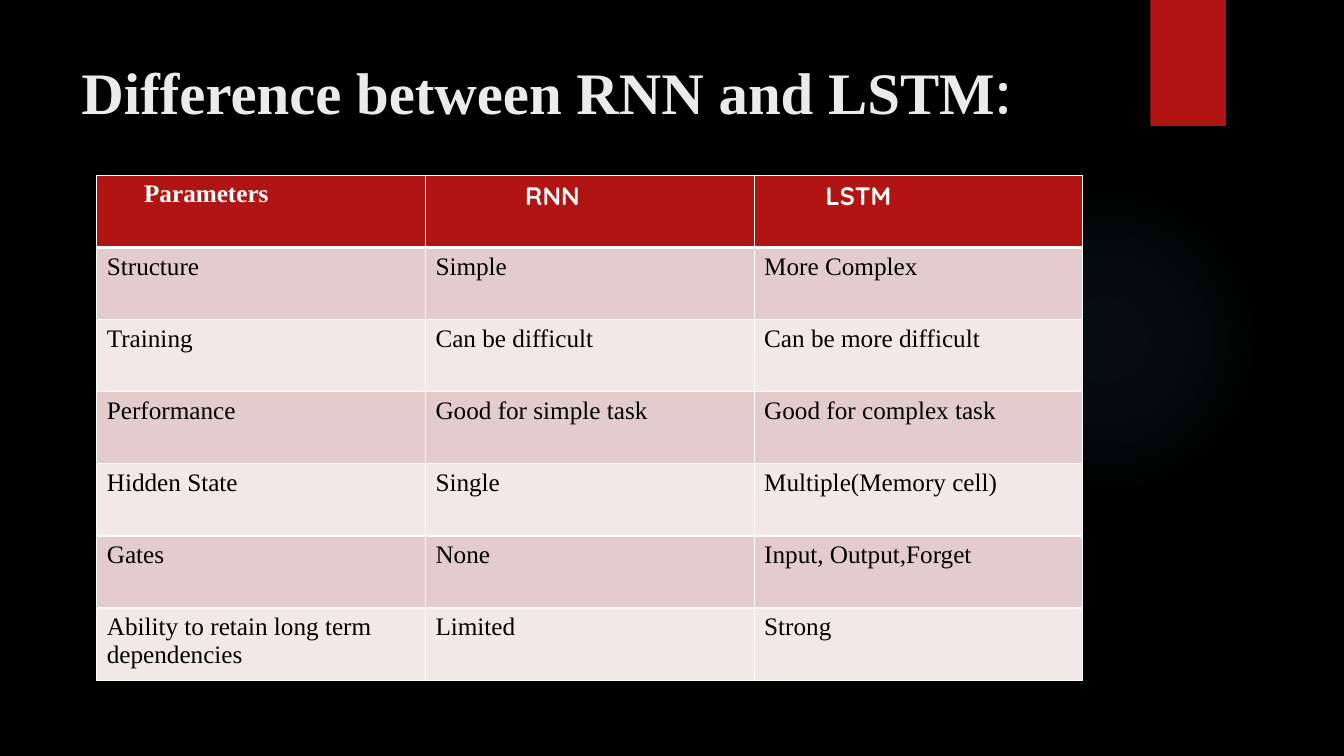
import pptx
import pptx.dml.color
import pptx.enum.shapes
import pptx.enum.text
import pptx.oxml
import pptx.oxml.ns
import pptx.util

Inches = pptx.util.Inches
COLORS = {
    "background": "000000", "accent": "B01513", "glow": "50B9C1",
    "title": "EBEBEB", "white": "FFFFFF", "body": "000000",
    "odd row": "E4CCCC", "even row": "F2E8E7",
}
SERIF, ROUNDED = "Times New Roman", "Quicksand"


def paint(fill, color):
    fill.solid()
    fill.fore_color.rgb = pptx.dml.color.RGBColor.from_string(COLORS[color])


def add_run(paragraph, text, font_name, size, color, bold):
    run = paragraph.add_run()
    run.text = text
    run.font.name = font_name
    run.font.size = pptx.util.Pt(size)
    run.font.bold = bold
    paint(run.font.fill, color)


presentation = pptx.Presentation()
presentation.slide_width = Inches(13.33)
presentation.slide_height = Inches(7.5)
slide = presentation.slides.add_slide(presentation.slide_layouts[6])
paint(slide.background.fill, "background")

# Faint glow behind the table
glow = slide.shapes.add_shape(
    pptx.enum.shapes.MSO_SHAPE.OVAL,
    Inches(9.41), Inches(1.83), Inches(3.08), Inches(3.08))
glow.shadow.inherit = False
glow.line.fill.background()
stops = "".join(
    f'<a:gs pos="{position}000"><a:srgbClr val="{COLORS["glow"]}">'
    f'<a:alpha val="{opacity}000"/></a:srgbClr></a:gs>'
    for position, opacity in ((0, 7), (36, 6), (69, 0)))
gradient = pptx.oxml.parse_xml(
    f'<a:gradFill {pptx.oxml.ns.nsdecls("a")}><a:gsLst>{stops}</a:gsLst>'
    '<a:path path="circle"><a:fillToRect l="50000" t="50000" r="50000" b="50000"/>'
    '</a:path></a:gradFill>')
glow.element.spPr.find(pptx.oxml.ns.qn("a:prstGeom")).addnext(gradient)

# Red tab at the top edge
tab = slide.shapes.add_shape(
    pptx.enum.shapes.MSO_SHAPE.RECTANGLE,
    Inches(11.41), 0, Inches(0.75), Inches(1.25))
tab.shadow.inherit = False
tab.line.fill.background()
paint(tab.fill, "accent")

# Title
title = slide.shapes.add_textbox(
    Inches(0.71), Inches(0.5), Inches(10.29), Inches(1.53))
title.text_frame.word_wrap = True
title.text_frame.vertical_anchor = pptx.enum.text.MSO_ANCHOR.TOP
title_paragraph = title.text_frame.paragraphs[0]
add_run(title_paragraph, "Difference between RNN and LSTM", SERIF, 42, "title", True)
add_run(title_paragraph, ":", ROUNDED, 42, "title", True)

# Comparison table
rows = [
    ("Parameters", "RNN", "LSTM"),
    ("Structure", "Simple", "More Complex"),
    ("Training", "Can be difficult", "Can be more difficult"),
    ("Performance", "Good for simple task", "Good for complex task"),
    ("Hidden State", "Single", "Multiple(Memory cell)"),
    ("Gates", "None", "Input, Output,Forget"),
    ("Ability to retain long term dependencies", "Limited", "Strong"),
]
header_indents = (0.47, 0.99, 0.71)
header_fonts = (SERIF, ROUNDED, ROUNDED)
table = slide.shapes.add_table(
    len(rows), len(rows[0]),
    Inches(0.96), Inches(1.74), Inches(9.78), Inches(5.01)).table

for row_index, row in enumerate(rows):
    is_header = row_index == 0
    for column_index, text in enumerate(row):
        cell = table.cell(row_index, column_index)

        # White borders, thicker under the header
        widths = {"L": 1, "R": 1, "T": 3 if row_index == 1 else 1, "B": 3 if is_header else 1}
        cell_properties = cell._tc.get_or_add_tcPr()
        for side, width in widths.items():
            cell_properties.append(pptx.oxml.parse_xml(
                f'<a:ln{side} {pptx.oxml.ns.nsdecls("a")} w="{pptx.util.Pt(width)}">'
                f'<a:solidFill><a:srgbClr val="{COLORS["white"]}"/></a:solidFill>'
                f'</a:ln{side}>'))

        paragraph = cell.text_frame.paragraphs[0]
        if is_header:
            paint(cell.fill, "accent")
            cell.margin_left = Inches(header_indents[column_index])
            add_run(paragraph, text, header_fonts[column_index], 18, "white", True)
        else:
            paint(cell.fill, "odd row" if row_index % 2 else "even row")
            add_run(paragraph, text, SERIF, 18, "body", False)

presentation.save("out.pptx")
